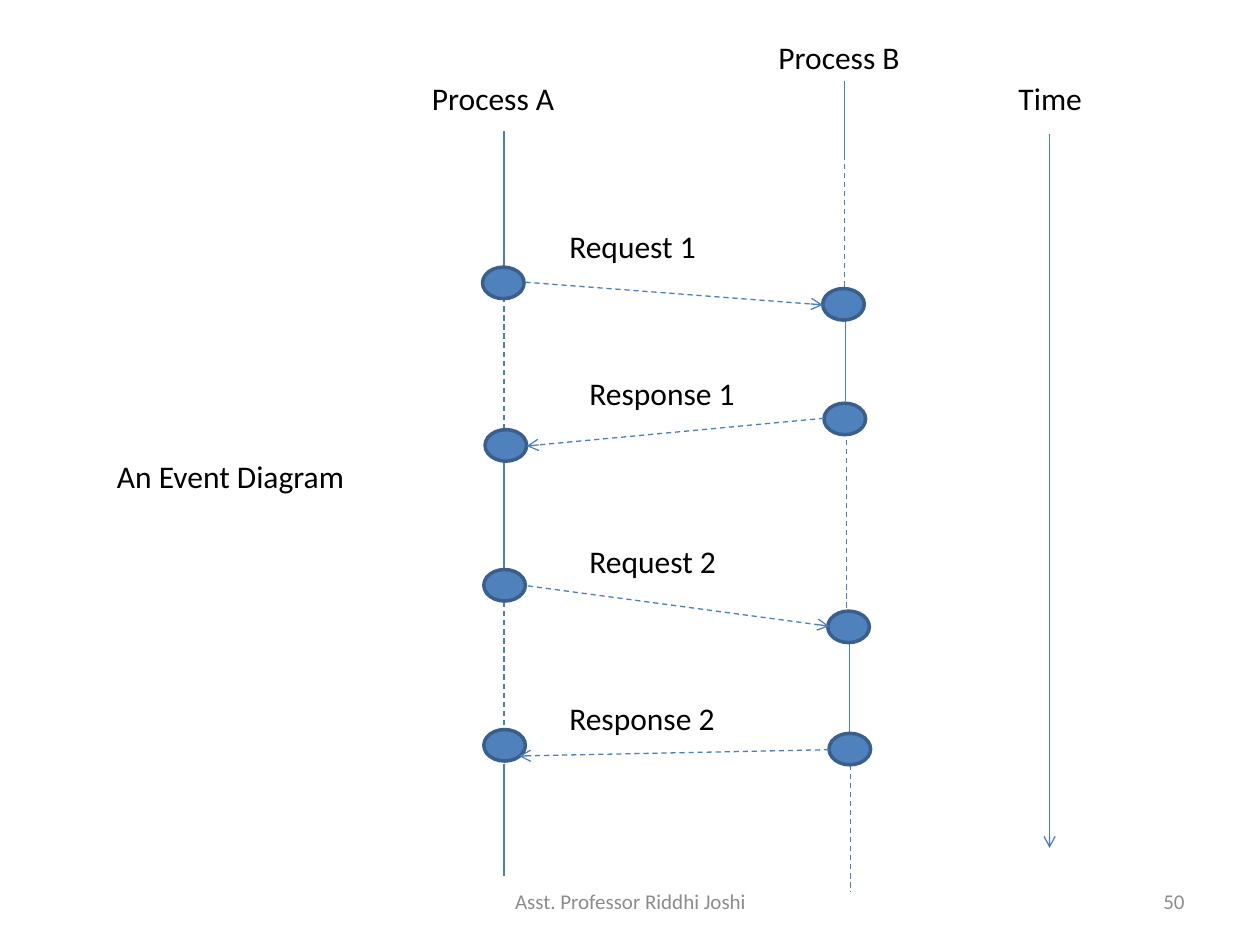
from pptx import Presentation
from pptx.util import Inches, Pt
from pptx.dml.color import RGBColor
from pptx.enum import dml, shapes, text
from pptx.oxml.ns import qn
from lxml import etree

HUE = {"fill": "4F81BD", "edge": "3A5F8C", "line": "4B7EBC", "text": "000000", "foot": "8C8C8C"}
ALIGN = text.PP_ALIGN


def color(name):
    return RGBColor.from_string(HUE[name])


def label(slide, words, x, y, w, align=ALIGN.LEFT, size=18, hue="text", anchor=text.MSO_ANCHOR.TOP):
    box = slide.shapes.add_textbox(Inches(x), Inches(y), Inches(w), Inches(0.4))
    frame = box.text_frame
    frame.word_wrap = True
    frame.vertical_anchor = anchor
    frame.text = words
    para = frame.paragraphs[0]
    para.alignment = align
    font = para.runs[0].font
    font.name, font.size = "Calibri", Pt(size)
    font.color.rgb = color(hue)


def line(slide, start, end, dash=False, arrow=False):
    link = slide.shapes.add_connector(
        shapes.MSO_CONNECTOR.STRAIGHT, *[Inches(n) for n in (*start, *end)])
    link.line.color.rgb = color("line")
    link.line.width = Pt(0.75)
    if dash:
        link.line.dash_style = dml.MSO_LINE.DASH
    if arrow:
        etree.SubElement(link.line._get_or_add_ln(), qn("a:tailEnd"), type="arrow")
    etree.SubElement(link._element.spPr, qn("a:effectLst"))


def event(slide, x, y):
    dot = slide.shapes.add_shape(
        shapes.MSO_SHAPE.OVAL, Inches(x), Inches(y), Inches(0.33), Inches(0.25))
    dot.shadow.inherit = False
    dot.fill.solid()
    dot.fill.fore_color.rgb = color("fill")
    dot.line.color.rgb = color("edge")
    dot.line.width = Pt(2)


def lane(slide, x, y, name, shift, spans, events):
    label(slide, name, x + shift[0], y + shift[1], 1.25)
    for i, (dx, top, end) in enumerate(spans):
        line(slide, (x + dx, y + top), (x + dx, y + end), dash=i % 2 == 1)
    for dx, dy in events:
        event(slide, x + dx, y + dy)


def calls(slide, x, y, items):
    for words, dx, dy, w, start, end in items:
        line(slide, (x + start[0], y + start[1]), (x + end[0], y + end[1]), True, True)
        label(slide, words, x + dx, y + dy, w)


def clock(slide, x, y, h):
    label(slide, "Time", x - 0.41, y - 0.48, 0.83, ALIGN.CENTER)
    line(slide, (x, y), (x, y + h), arrow=True)


def footer(slide, x, y):
    look = {"size": 12, "hue": "foot", "anchor": text.MSO_ANCHOR.MIDDLE}
    label(slide, "Asst. Professor Riddhi Joshi", x, y, 3.17, ALIGN.CENTER, **look)
    label(slide, "50", x + 3.75, y, 2.33, ALIGN.RIGHT, **look)


def main():
    deck = Presentation()
    deck.slide_width, deck.slide_height = Inches(10), Inches(7.5)
    slide = deck.slides.add_slide(deck.slide_layouts[6])
    lane(slide, 4, 1.04, "Process A", (-0.67, -0.46),
         [(0, 0, 1.08), (0, 1.32, 2.4), (0, 2.61, 3.5), (0, 3.74, 4.82), (0, 5.02, 5.91)],
         [(-0.17, 1.08), (-0.15, 2.37), (-0.16, 3.48), (-0.16, 4.75)])
    lane(slide, 6.7, 0.64, "Process B", (-0.62, -0.39),
         [(0, 0, 0.59), (0, 0.59, 1.64), (0.01, 1.91, 2.54),
          (0.02, 2.78, 4.19), (0.04, 4.44, 5.17), (0.05, 5.36, 6.44)],
         [(-0.17, 1.65), (-0.16, 2.56), (-0.13, 4.21), (-0.12, 5.18)])
    calls(slide, 4, 1.75, [
        ("Request 1", 0.42, 0, 1.25, (0.17, 0.49), (2.53, 0.67)),
        ("Response 1", 0.58, 1.17, 1.5, (2.54, 1.57), (0.18, 1.79)),
        ("Request 2", 0.58, 2.5, 1.25, (0.19, 2.9), (2.58, 3.22)),
        ("Response 2", 0.42, 3.75, 1.42, (2.58, 4.2), (0.12, 4.25)),
    ])
    clock(slide, 8.33, 1.06, 5.67)
    label(slide, "An Event Diagram", 0.83, 3.58, 2.33)
    footer(slide, 3.42, 6.95)
    deck.save("out.pptx")


if __name__ == "__main__":
    main()
